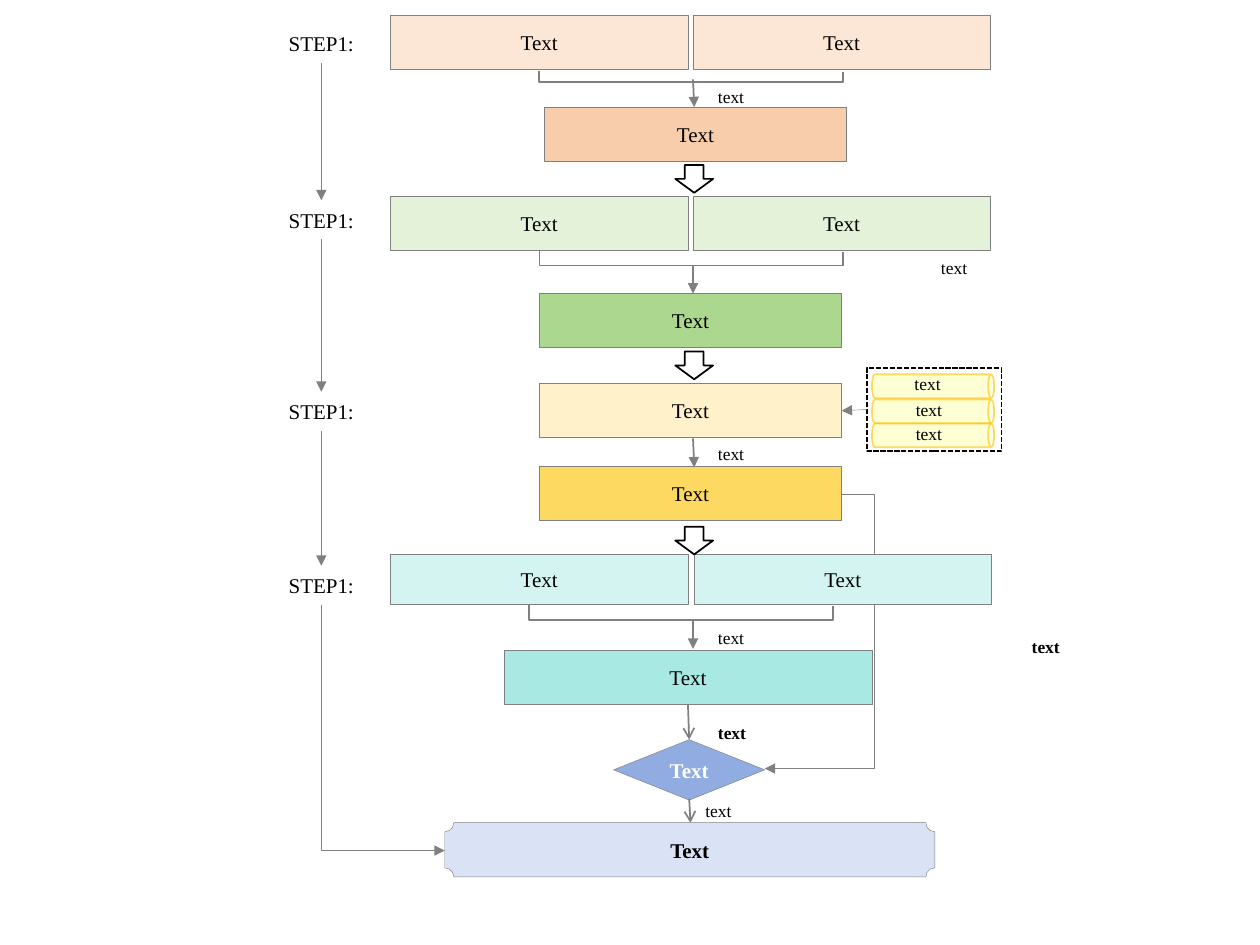
from dataclasses import dataclass

from lxml.etree import SubElement
from pptx import Presentation
from pptx.dml.color import RGBColor
from pptx.enum.dml import MSO_LINE
from pptx.enum.shapes import MSO_CONNECTOR, MSO_SHAPE
from pptx.enum.text import MSO_ANCHOR, PP_ALIGN
from pptx.oxml.ns import qn
from pptx.util import Pt

PX = 9144  # EMU per px, 100 px to the inch


@dataclass(frozen=True)
class Theme:
    font: str = "Times New Roman"
    box_size: int = 12
    label_size: int = 10
    hairline: float = 0.25
    thin: float = 0.75
    solid: float = 1
    gray: str = "808080"
    black: str = "000000"
    white: str = "FFFFFF"
    peach: tuple = ("FCE6D5", "F8CDAC")
    green: tuple = ("E3F2D9", "ACD78E")
    yellow: tuple = ("FFF2CA", "FED961")
    teal: tuple = ("D4F4F2", "A9E9E4")
    blue: tuple = ("DAE3F5", "91ACE0")
    can_fill: str = "FFFF00"
    can_line: str = "FFC000"


class FlowSlide:
    def __init__(self, slide, theme):
        self.s = slide
        self.t = theme

    def set_text(self, sp, text, size, color=None, bold=False):
        tf = sp.text_frame
        tf.word_wrap = True
        tf.text = text
        p = tf.paragraphs[0]
        p.font.name = self.t.font
        p.font.size = Pt(size)
        p.font.bold = bold
        p.font.color.rgb = RGBColor.from_string(color or self.t.black)
        return tf, p

    def shape(self, kind, x, y, w, h, fill=None, line=None, width=None):
        sp = self.s.shapes.add_shape(kind, x * PX, y * PX, w * PX, h * PX)
        sp.shadow.inherit = False
        if fill:
            sp.fill.solid()
            sp.fill.fore_color.rgb = RGBColor.from_string(fill)
        else:
            sp.fill.background()
        if line:
            sp.line.color.rgb = RGBColor.from_string(line)
            sp.line.width = Pt(width or self.t.hairline)
        else:
            sp.line.fill.background()
        return sp

    def box(self, x, y, w, h, fill, text="Text", kind=MSO_SHAPE.RECTANGLE,
            color=None, bold=False, outlined=True):
        sp = self.shape(kind, x, y, w, h, fill, self.t.gray if outlined else None)
        tf, p = self.set_text(sp, text, self.t.box_size, color, bold)
        tf.vertical_anchor = MSO_ANCHOR.MIDDLE
        p.alignment = PP_ALIGN.CENTER

    def label(self, x, y, bold=False):
        sp = self.s.shapes.add_textbox(x * PX, y * PX, 44 * PX, 15 * PX)
        self.set_text(sp, "text", self.t.label_size, bold=bold)

    def note(self, x, y, w, h):
        sp = self.shape(MSO_SHAPE.RECTANGLE, x, y, w, h, self.t.white)
        tf, p = self.set_text(sp, "text", self.t.label_size, bold=True)
        tf.vertical_anchor = MSO_ANCHOR.TOP
        p.alignment = PP_ALIGN.LEFT

    def block_arrow(self, x, y):
        self.shape(MSO_SHAPE.DOWN_ARROW, x, y, 30, 22,
                   self.t.white, self.t.black, self.t.solid)

    def can(self, x, y, w, h):
        sp = self.shape(MSO_SHAPE.CAN, x, y, w, h,
                        self.t.can_fill, self.t.can_line, self.t.solid)
        sp.rotation = 90
        colors = sp._element.spPr.iter(qn("a:srgbClr"))
        for clr, percent in zip(colors, (17, 58)):
            SubElement(clr, qn("a:alpha"), val=str(percent * 1000))

    def line(self, start, end, width, tail="triangle", kind=MSO_CONNECTOR.STRAIGHT):
        cxn = self.s.shapes.add_connector(kind, *(round(v * PX) for v in (*start, *end)))
        cxn.line.color.rgb = RGBColor.from_string(self.t.gray)
        cxn.line.width = Pt(width)
        spPr = cxn._element.spPr
        if tail:
            SubElement(spPr.find(qn("a:ln")), qn("a:tailEnd"), type=tail)
        SubElement(spPr, qn("a:effectLst"))
        return spPr

    def elbow(self, start, end, width, bend=None, tail="triangle", turned=False):
        """Bent line; bend is the px to its middle leg, None gives one corner.
        A turned elbow leaves vertically instead of horizontally."""
        (x1, y1), (x2, y2) = start, end
        run = x2 - x1
        if turned:
            cx, cy, run, rise = (x1 + x2) / 2, (y1 + y2) / 2, y2 - y1, x2 - x1
            start = cx - run / 2, cy + rise / 2
            end = cx + run / 2, cy - rise / 2
        elif bend is not None:
            bend *= 1 if run > 0 else -1
            run = abs(run)
        spPr = self.line(start, end, width, tail, MSO_CONNECTOR.ELBOW)
        if turned:
            spPr.find(qn("a:xfrm")).set("rot", "5400000")
        geom = spPr.find(qn("a:prstGeom"))
        if bend is None:
            geom.set("prst", "bentConnector2")
        else:
            SubElement(geom.find(qn("a:avLst")), qn("a:gd"), name="adj1",
                       fmla=f"val {round(bend / run * 100000)}")


def main():
    prs = Presentation()
    prs.slide_width, prs.slide_height = 1000 * PX, 750 * PX
    t = Theme()
    s = FlowSlide(prs.slides.add_slide(prs.slide_layouts[6]), t)

    # Feedback line, behind the boxes
    s.elbow((668, 392), (607, 610), t.hairline, bend=26)

    # Paired boxes
    for y, h, right, fill in ((12, 43, 550, t.peach[0]), (156, 43, 550, t.green[0]),
                              (440, 40, 551, t.teal[0])):
        for x in (310, right):
            s.box(x, y, 236, h, fill)

    # Single boxes
    for x, y, w, fill in ((432, 85, 240, t.peach[1]), (428, 233, 240, t.green[1]),
                          (428, 304, 240, t.yellow[0]), (428, 370, 240, t.yellow[1]),
                          (400, 516, 292, t.teal[1])):
        s.box(x, y, w, 43, fill)

    # Decision and result
    s.box(487, 587, 120, 48, t.blue[1], kind=MSO_SHAPE.DIAMOND, color=t.white, bold=True)
    s.box(353, 653, 389, 43, t.blue[0], kind=MSO_SHAPE.PLAQUE, bold=True)

    # Brackets joining each pair
    for x, y, depth, width in ((428, 56, 9, t.solid), (428, 199, 12, t.thin),
                               (420, 480, 12, t.solid)):
        s.elbow((x, y), (x + 241, y + 1), width, bend=depth, tail=None, turned=True)

    # Arrows between boxes
    for start, end, tail in (((550, 63), (551, 85), "triangle"),
                             ((550, 210), (550, 233), "triangle"),
                             ((550, 348), (551, 371), "triangle"),
                             ((550, 492), (550, 515), "triangle"),
                             ((546, 559), (547, 587), "arrow"),
                             ((547, 634), (548, 653), "arrow")):
        s.line(start, end, t.solid, tail)
    for y in (131, 279, 418):
        s.block_arrow(536, y)

    # Labels beside the arrows
    for x, y, bold in ((560, 63, False), (737, 199, False), (560, 347, False),
                       (560, 493, False), (560, 568, True), (550, 630, False)):
        s.label(x, y, bold)
    s.note(809, 500, 44, 27)

    # Data stores in a dashed frame
    for y in (258, 278, 297):
        s.can(731, y, 19, 97)
    frame = s.shape(MSO_SHAPE.RECTANGLE, 688, 292, 107, 66, line=t.black, width=t.solid)
    frame.line.dash_style = MSO_LINE.SQUARE_DOT
    s.line((688, 325), (668, 326), t.hairline)
    for x, y in ((716, 291), (717, 312), (717, 331)):
        s.label(x, y)

    # Step column
    steps = (19, 159, 311, 449)
    for y in steps:
        s.box(217, y, 76, 31, t.white, "STEP1:", outlined=False)
    for y, following in zip(steps, steps[1:]):
        s.line((255, y + 31), (255, following), t.hairline)
    s.elbow((255, 480), (353, 675), t.hairline, turned=True)

    prs.save("out.pptx")


if __name__ == "__main__":
    main()
